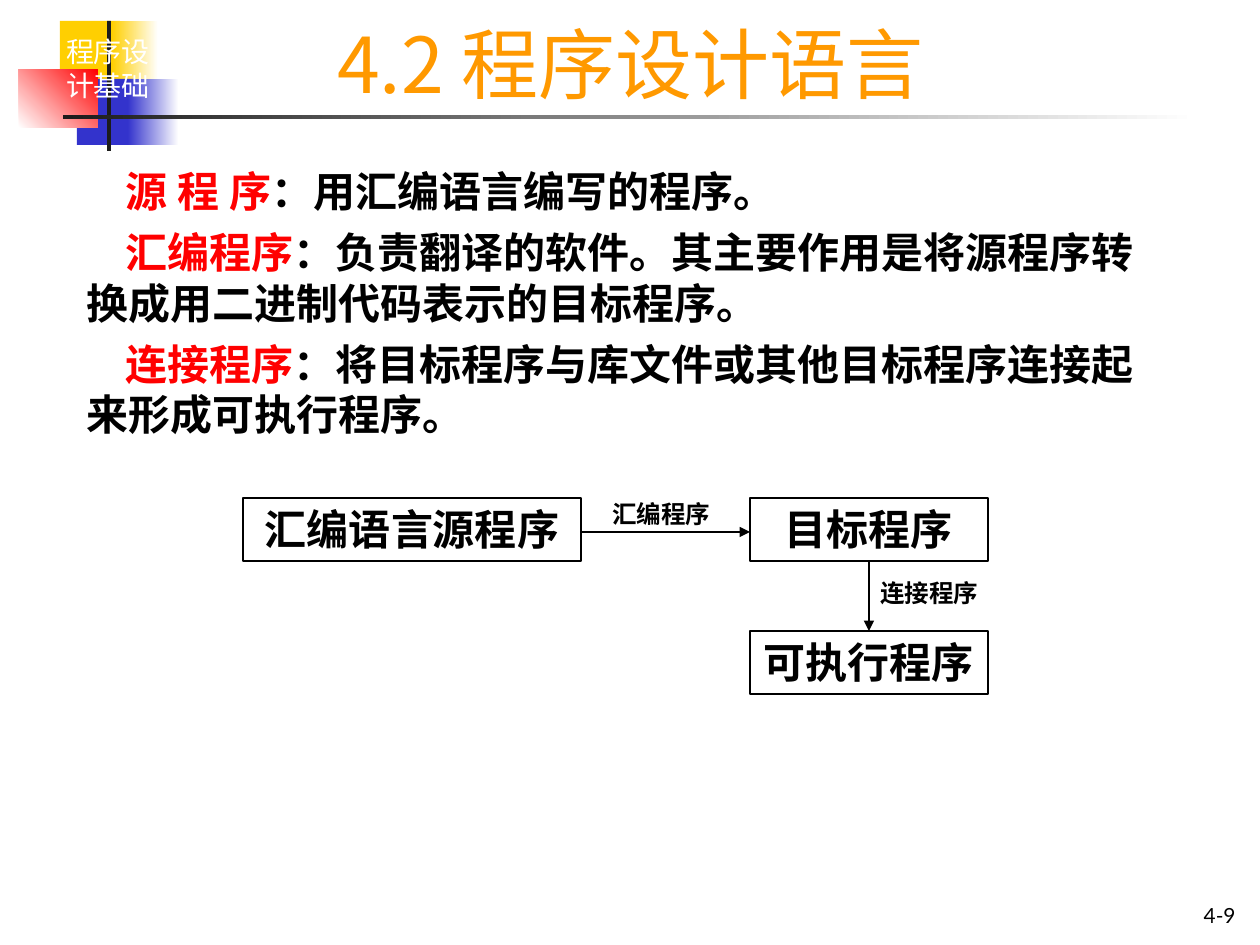
"""Builds the slide on assembling and linking programs."""
from dataclasses import dataclass
from typing import Optional

from lxml.etree import SubElement
from pptx import Presentation
from pptx.dml.color import RGBColor
from pptx.enum.shapes import MSO_CONNECTOR, MSO_SHAPE
from pptx.enum.text import MSO_ANCHOR, PP_ALIGN
from pptx.oxml.ns import qn
from pptx.util import Emu, Pt

EMU_PER_INCH = 914400
PX_PER_INCH = 126
WHITE = RGBColor(0xFF, 0xFF, 0xFF)
BLACK = RGBColor(0x00, 0x00, 0x00)
YELLOW = RGBColor(0xFF, 0xCF, 0x01)
BLUE = RGBColor(0x33, 0x33, 0xCC)
RED = RGBColor(0xFF, 0x00, 0x00)
ORANGE = RGBColor(0xFF, 0x99, 0x00)
CHARCOAL = RGBColor(0x1C, 0x1C, 0x1C)
LATIN = "Lato"
CHINESE = "Noto Sans CJK SC"


@dataclass(frozen=True)
class Area:
    left: int
    top: int
    width: int
    height: int

    def emu(self) -> tuple:
        return px(self.left), px(self.top), px(self.width), px(self.height)


@dataclass(frozen=True)
class Block:
    area: Area
    start: RGBColor
    end: Optional[RGBColor] = None
    angle: int = 0


@dataclass(frozen=True)
class Style:
    size: float
    color: RGBColor = BLACK
    bold: bool = False
    font: str = LATIN
    align: PP_ALIGN = PP_ALIGN.LEFT
    anchor: MSO_ANCHOR = MSO_ANCHOR.TOP
    before: float = 0


@dataclass(frozen=True)
class Label:
    text: str
    area: Area
    style: Style
    top_inset: int = 6


@dataclass(frozen=True)
class Definition:
    term: str
    meaning: str


BLOCKS = [
    Block(Area(60, 21, 60, 66), YELLOW),
    Block(Area(112, 21, 46, 66), YELLOW, WHITE),
    Block(Area(77, 79, 58, 66), BLUE),
    Block(Area(128, 79, 51, 66), BLUE, WHITE),
    Block(Area(19, 69, 79, 59), WHITE, RED, 45),
    Block(Area(107, 21, 4, 130), CHARCOAL),
    Block(Area(63, 115, 1134, 4), CHARCOAL, WHITE),
]
STEP = Style(14, bold=True, before=8.8)
LABELS = [
    Label("程序设计基础", Area(52, 26, 112, 83),
          Style(16, WHITE, align=PP_ALIGN.CENTER, before=4), 9),
    Label("4-9", Area(1096, 892, 152, 42),
          Style(11.9, align=PP_ALIGN.RIGHT, anchor=MSO_ANCHOR.BOTTOM)),
    Label("汇编程序", Area(600, 493, 129, 43), STEP),
    Label("连接程序", Area(868, 572, 129, 43), STEP),
    Label("4.2 程序设计语言", Area(184, 10, 893, 105),
          Style(44, ORANGE, font=CHINESE, align=PP_ALIGN.CENTER,
                anchor=MSO_ANCHOR.BOTTOM)),
]
DEFINITIONS = [
    Definition("源 程 序", "：用汇编语言编写的程序。"),
    Definition("汇编程序", "：负责翻译的软件。其主要作用是将源程序转换成用二进制代码表示的目标程序。"),
    Definition("连接程序", "：将目标程序与库文件或其他目标程序连接起来形成可执行程序。"),
]
DEFINITION_AREA = Area(74, 160, 1111, 302)
DEFINITION_INDENT = 39
BOX = Style(24, bold=True, align=PP_ALIGN.CENTER, before=15)
SOURCE = Label("汇编语言源程序", Area(243, 498, 338, 63), BOX)
TARGET = Label("目标程序", Area(750, 498, 238, 63), BOX)
EXECUTABLE = Label("可执行程序", Area(750, 631, 238, 63), BOX)
ASSEMBLY_Y = 532


def px(length: int) -> Emu:
    return Emu(round(length * EMU_PER_INCH / PX_PER_INCH))


def format_run(run, style: Style, color: RGBColor) -> None:
    run.font.size = Pt(style.size)
    run.font.bold = style.bold
    run.font.name = style.font
    run.font.color.rgb = color
    SubElement(run.font._element, qn("a:ea")).set("typeface", LATIN)


def format_frame(frame, style: Style, top_inset: int = 6) -> None:
    frame.word_wrap = True
    frame.vertical_anchor = style.anchor
    frame.margin_top = px(top_inset)


def format_paragraph(paragraph, style: Style) -> None:
    paragraph.alignment = style.align
    paragraph.space_before = Pt(style.before)


def write(shape, label: Label) -> None:
    frame = shape.text_frame
    frame.text = label.text
    format_frame(frame, label.style, label.top_inset)
    paragraph = frame.paragraphs[0]
    format_paragraph(paragraph, label.style)
    format_run(paragraph.runs[0], label.style, label.style.color)


def draw_block(slide, block: Block) -> None:
    square = slide.shapes.add_shape(MSO_SHAPE.RECTANGLE, *block.area.emu())
    square.shadow.inherit = False
    square.line.fill.background()
    if block.end is None:
        square.fill.solid()
        square.fill.fore_color.rgb = block.start
        return
    square.fill.gradient()
    square.fill.gradient_angle = block.angle
    for stop, color in zip(square.fill.gradient_stops, (block.start, block.end)):
        stop.color.rgb = color


def draw_box(slide, label: Label):
    box = slide.shapes.add_shape(MSO_SHAPE.RECTANGLE, *label.area.emu())
    box.shadow.inherit = False
    box.fill.background()
    box.line.color.rgb = BLACK
    box.line.width = Pt(0.75)
    write(box, label)
    return box


def draw_arrow(slide, start: tuple, end: tuple):
    arrow = slide.shapes.add_connector(
        MSO_CONNECTOR.STRAIGHT, *(px(length) for length in (*start, *end)))
    arrow.line.color.rgb = BLACK
    arrow.line.width = Pt(0.75)
    SubElement(arrow.line._get_or_add_ln(), qn("a:tailEnd")).set("type", "triangle")
    SubElement(arrow._element.spPr, qn("a:effectLst"))
    return arrow


def draw_definitions(slide) -> None:
    style = Style(24, bold=True, font=CHINESE, before=6)
    frame = slide.shapes.add_textbox(*DEFINITION_AREA.emu()).text_frame
    frame.text = "\n".join(item.term for item in DEFINITIONS)
    format_frame(frame, style)
    for paragraph, item in zip(frame.paragraphs, DEFINITIONS):
        format_paragraph(paragraph, style)
        paragraph._p.get_or_add_pPr().set("indent", str(px(DEFINITION_INDENT)))
        format_run(paragraph.runs[0], style, RED)
        meaning = paragraph.add_run()
        meaning.text = item.meaning
        format_run(meaning, style, BLACK)


def main() -> None:
    deck = Presentation()
    deck.slide_width, deck.slide_height = px(1260), px(945)
    slide = deck.slides.add_slide(deck.slide_layouts[6])
    for block in BLOCKS:
        draw_block(slide, block)
    draw_definitions(slide)
    draw_box(slide, SOURCE)
    target = draw_box(slide, TARGET)
    executable = draw_box(slide, EXECUTABLE)
    draw_arrow(slide, (581, ASSEMBLY_Y), (750, ASSEMBLY_Y))
    linking = draw_arrow(slide, (869, 561), (869, 631))
    linking.begin_connect(target, 2)
    linking.end_connect(executable, 0)
    for label in LABELS:
        write(slide.shapes.add_textbox(*label.area.emu()), label)
    deck.save("out.pptx")


if __name__ == "__main__":
    main()
